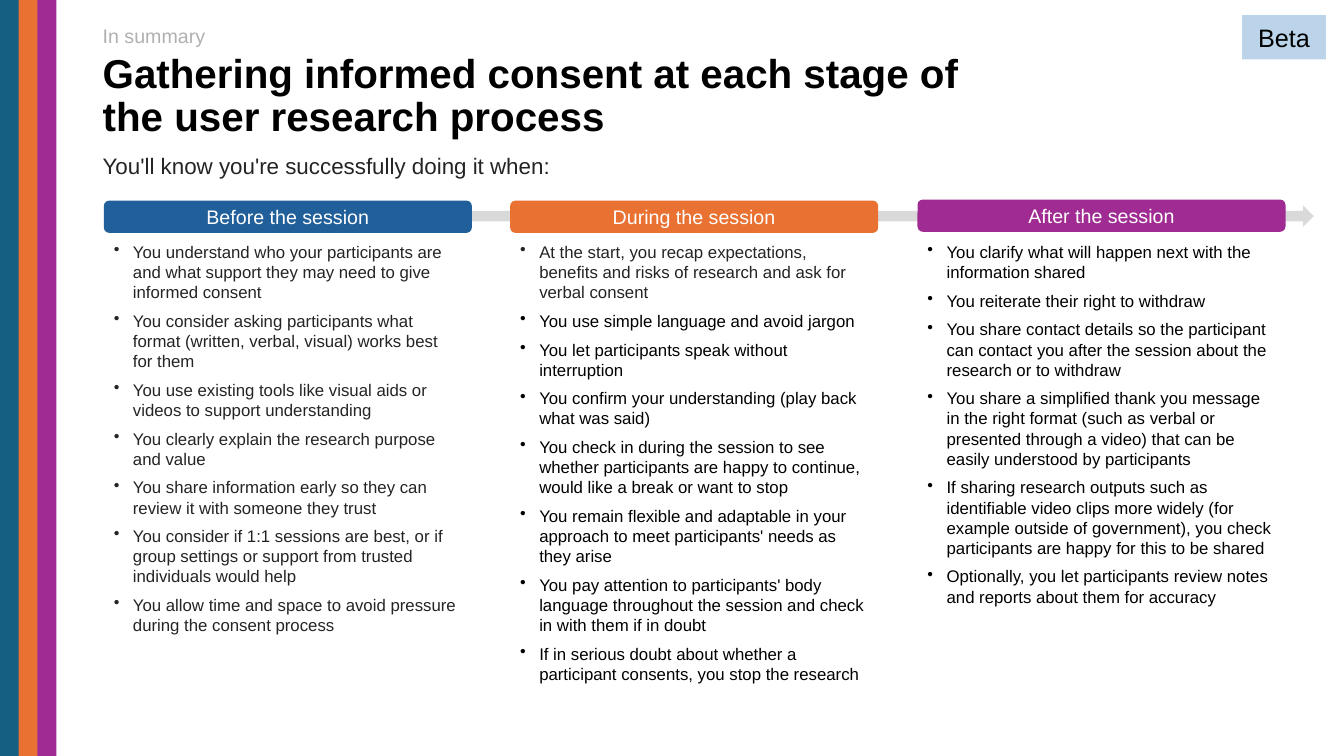
"""Build the summary slide on informed consent at each research stage."""
from dataclasses import dataclass

from lxml.etree import SubElement
from pptx import Presentation
from pptx.dml.color import RGBColor
from pptx.enum.shapes import MSO_SHAPE
from pptx.enum.text import MSO_ANCHOR, PP_ALIGN
from pptx.oxml.ns import qn
from pptx.util import Inches, Pt


@dataclass(frozen=True)
class Theme:
    font: str = "Arial"
    teal: str = "156082"
    blue: str = "215F9A"
    orange: str = "E97132"
    purple: str = "A02B93"
    pale: str = "BBD4EA"
    track: str = "D9D9D9"
    black: str = "000000"
    ink: str = "242424"
    muted: str = "B0B0B0"
    white: str = "FFFFFF"
    title: float = 28.8
    badge: float = 18
    lead: float = 16
    label: float = 14
    body: float = 12


theme = Theme()
deck = Presentation()
deck.slide_width, deck.slide_height = Inches(13.33), Inches(7.5)
slide = deck.slides.add_slide(deck.slide_layouts[6])


def add_block(kind, box, fill):
    shape = slide.shapes.add_shape(kind, *map(Inches, box))
    shape.shadow.inherit = False
    shape.fill.solid()
    shape.fill.fore_color.rgb = RGBColor.from_string(fill)
    shape.line.fill.background()
    shape.text_frame.vertical_anchor = MSO_ANCHOR.MIDDLE
    return shape.text_frame


def write(para, text, size, color, bold=False, align=PP_ALIGN.LEFT):
    para.text = text
    para.alignment = align
    para.font.name = theme.font
    para.font.size = Pt(size)
    para.font.bold = bold
    para.font.color.rgb = RGBColor.from_string(color)


for i, color in enumerate((theme.teal, theme.orange, theme.purple)):
    add_block(MSO_SHAPE.RECTANGLE, (i * 0.185, 0, 0.19, 7.5), color)
add_block(MSO_SHAPE.RIGHT_ARROW, (4.62, 2.04, 8.41, 0.21), theme.track)

stages = [
    ("Before the session", 1.03, 1.99, theme.blue, 7, [
        "You understand who your participants are and what support they may need to give informed consent",
        "You consider asking participants what format (written, verbal, visual) works best for them",
        "You use existing tools like visual aids or videos to support understanding",
        "You clearly explain the research purpose and value",
        "You share information early so they can review it with someone they trust",
        "You consider if 1:1 sessions are best, or if group settings or support from trusted individuals would help",
        "You allow time and space to avoid pressure during the consent process",
    ]),
    ("During the session", 5.06, 1.99, theme.orange, 1, [
        "At the start, you recap expectations, benefits and risks of research and ask for verbal consent",
        "You use simple language and avoid jargon",
        "You let participants speak without interruption",
        "You confirm your understanding (play back what was said)",
        "You check in during the session to see whether participants are happy to continue, "
        "would like a break or want to stop",
        "You remain flexible and adaptable in your approach to meet participants' needs as they arise",
        "You pay attention to participants' body language throughout the session and check in with them if in doubt",
        "If in serious doubt about whether a participant consents, you stop the research",
    ]),
    ("After the session", 9.1, 1.98, theme.purple, 0, [
        "You clarify what will happen next with the information shared",
        "You reiterate their right to withdraw",
        "You share contact details so the participant can contact you after the session "
        "about the research or to withdraw",
        "You share a simplified thank you message in the right format (such as verbal or "
        "presented through a video) that can be easily understood by participants",
        "If sharing research outputs such as identifiable video clips more widely (for example "
        "outside of government), you check participants are happy for this to be shared",
        "Optionally, you let participants review notes and reports about them for accuracy",
    ]),
]
for name, left, top, color, soft, points in stages:
    box = slide.shapes.add_textbox(Inches(left), Inches(2.35), Inches(3.65), Inches(4.66))
    frame = box.text_frame
    frame.word_wrap = True
    for i, point in enumerate(points):
        para = frame.add_paragraph() if i else frame.paragraphs[0]
        write(para, point, theme.body, theme.ink if i < soft else theme.black)
        para.space_after = Pt(6)
        props = para._p.get_or_add_pPr()
        props.set("marL", str(Inches(0.19)))
        props.set("indent", str(-Inches(0.19)))
        bullet = SubElement(props, qn("a:buChar"), char="•")
        props.find(qn("a:defRPr")).addprevious(bullet)
    head = add_block(MSO_SHAPE.ROUNDED_RECTANGLE, (left, top, 3.65, 0.32), color)
    write(head.paragraphs[0], name, theme.label, theme.white, align=PP_ALIGN.CENTER)

heads = [
    ("You'll know you're successfully doing it when:", 1.49, 11.38, 0.4, theme.lead, theme.ink, False, 0.9, 0.05),
    ("Gathering informed consent at each stage of\vthe user research process",
     0.53, 12.31, 1.09, theme.title, theme.black, True, 0.9, 0),
    ("In summary", 0.19, 4.68, 0.34, theme.label, theme.muted, False, 1.0, 0.05),
]
for text, top, width, height, size, color, bold, space, inset in heads:
    box = slide.shapes.add_textbox(Inches(0.92), Inches(top), Inches(width), Inches(height))
    frame = box.text_frame
    frame.word_wrap = True
    frame.margin_top = Inches(inset)
    write(frame.paragraphs[0], text, size, color, bold)
    frame.paragraphs[0].line_spacing = space

badge = add_block(MSO_SHAPE.RECTANGLE, (12.32, 0.15, 0.83, 0.44), theme.pale)
write(badge.paragraphs[0], "Beta", theme.badge, theme.black, align=PP_ALIGN.CENTER)

deck.save("out.pptx")
